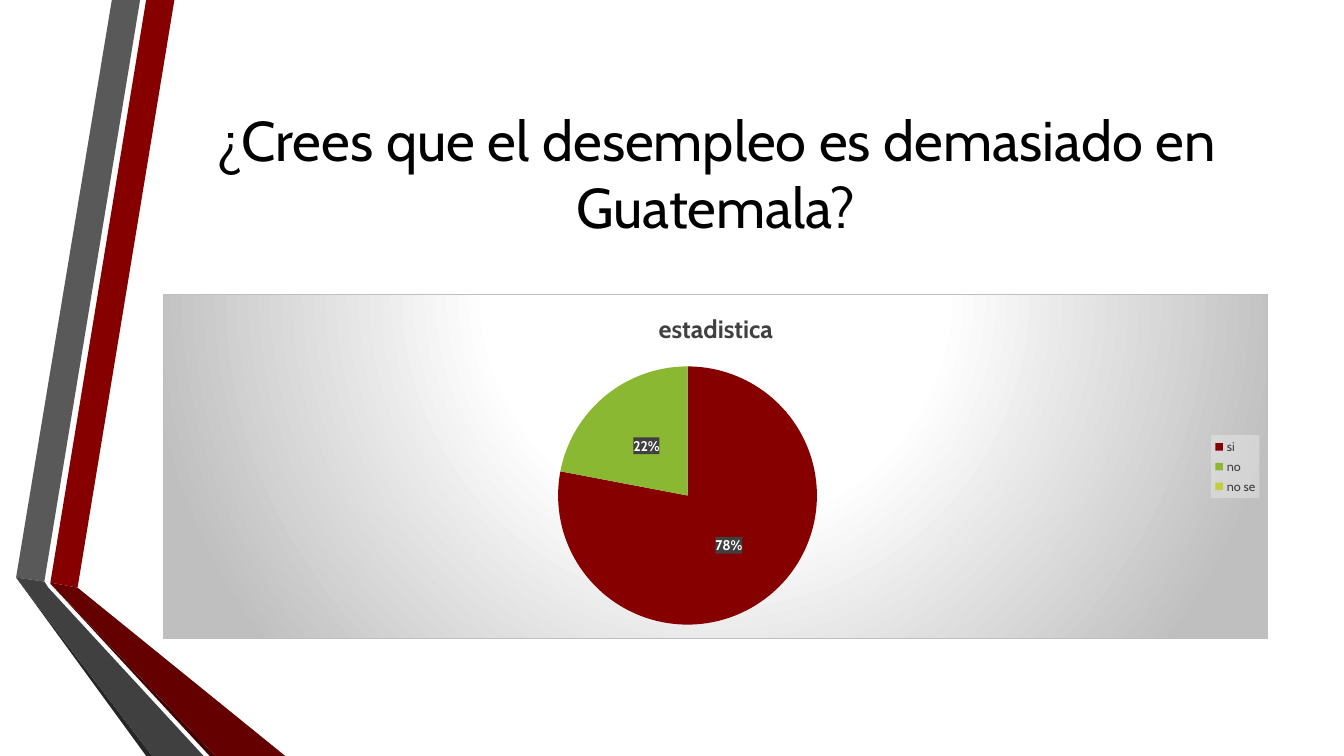
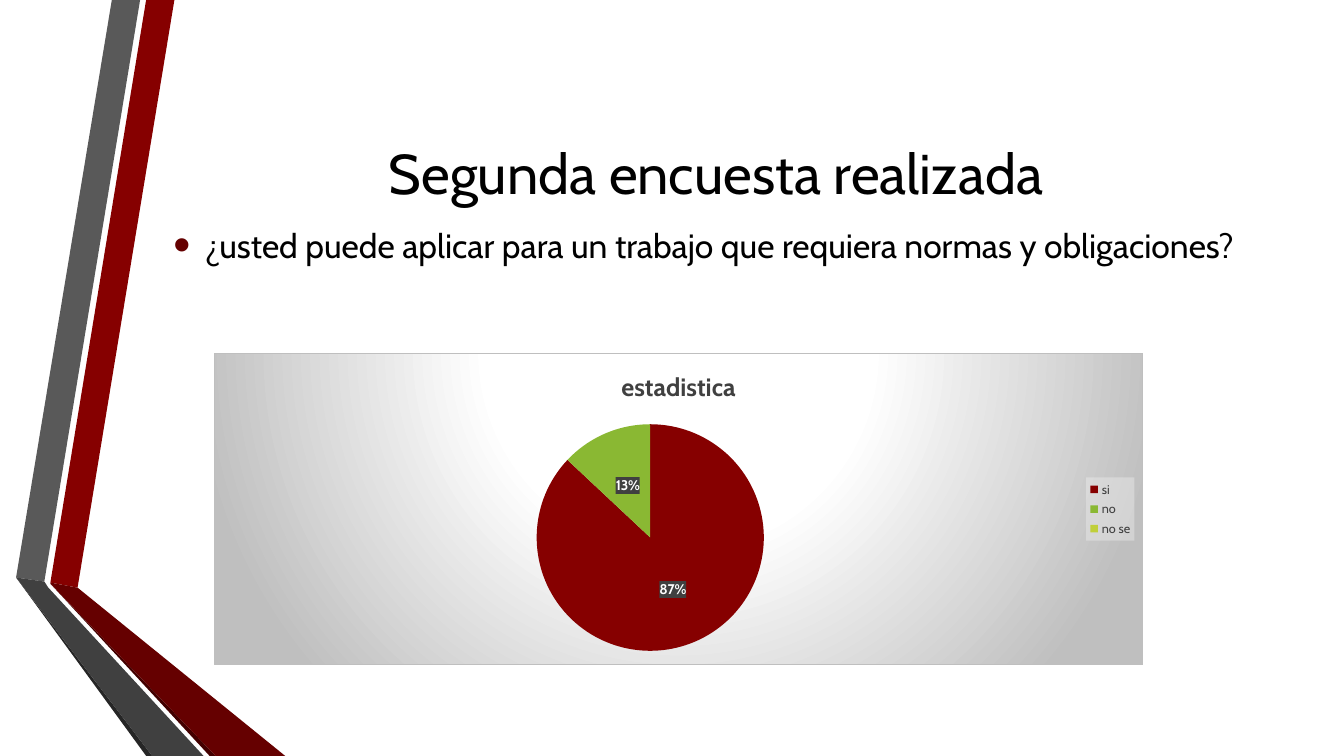
"""Build two survey slides with a pie chart each, over shared folded bands."""
from dataclasses import dataclass

from lxml.etree import SubElement
from pptx import Presentation
from pptx.chart.chart import Chart
from pptx.chart.data import CategoryChartData
from pptx.dml.color import RGBColor
from pptx.enum.chart import XL_CHART_TYPE as ChartType
from pptx.enum.chart import XL_LABEL_POSITION as LabelPos
from pptx.enum.chart import XL_LEGEND_POSITION as LegendPos
from pptx.enum.text import MSO_ANCHOR as Anchor
from pptx.enum.text import MSO_AUTO_SIZE as AutoSize
from pptx.enum.text import PP_ALIGN as Align
from pptx.oxml import parse_xml
from pptx.oxml.ns import nsdecls, qn
from pptx.shapes.base import BaseShape
from pptx.slide import Slide
from pptx.text.text import Font, TextFrame, _Paragraph as Paragraph
from pptx.util import Inches, Pt

FONT = "Cabin"
BLACK = RGBColor(0x00, 0x00, 0x00)
WHITE = RGBColor(0xFF, 0xFF, 0xFF)
RED = RGBColor(0x86, 0x00, 0x00)
DARK_RED = RGBColor(0x65, 0x00, 0x00)
DEEP_RED = RGBColor(0x43, 0x00, 0x00)
GREEN = RGBColor(0x8A, 0xB8, 0x33)
LIME = RGBColor(0xC0, 0xCF, 0x3A)
GRAY = RGBColor(0x59, 0x59, 0x59)
DARK_GRAY = RGBColor(0x40, 0x40, 0x40)
DEEP_GRAY = RGBColor(0x26, 0x26, 0x26)
SILVER = RGBColor(0xBF, 0xBF, 0xBF)
PALE_GRAY = RGBColor(0xF2, 0xF2, 0xF2)


@dataclass(frozen=True)
class Box:
    """Place and size in inches."""

    left: float
    top: float
    width: float
    height: float


@dataclass(frozen=True)
class Band:
    """Filled outline with its corners in inches."""

    color: RGBColor
    corners: tuple[tuple[float, float], ...]


@dataclass(frozen=True)
class Survey:
    """One survey slide."""

    title: str
    values: tuple[int, ...]
    chart_box: Box
    question: str = ""


TITLE_BOX = Box(1.62, 0.75, 10.96, 1.92)
QUESTION_BOX = Box(1.62, 0.96, 10.96, 3.42)
ANSWERS = (("si", RED), ("no", GREEN), ("no se", LIME))
BANDS = (
    Band(RED, ((0.5, 5.78), (0.77, 5.83), (1.73, 0), (1.45, 0))),
    Band(GRAY, ((1.39, 0), (1.11, 0), (0.16, 5.73), (0.44, 5.77))),
    Band(DEEP_GRAY, ((0.16, 5.73), (1.45, 7.5), (1.51, 7.5))),
    Band(DEEP_RED, ((0.5, 5.79), (2.08, 7.5), (2.14, 7.5))),
    Band(DARK_RED, ((0.5, 5.79), (2.14, 7.5), (2.83, 7.5), (0.77, 5.83), (0.5, 5.78))),
    Band(DARK_GRAY, ((2.02, 7.5), (0.48, 5.83), (0.44, 5.77), (0.16, 5.73), (1.51, 7.5))),
)
SURVEYS = (
    Survey("¿Crees que el desempleo es demasiado en Guatemala?", (78, 22, 0),
           Box(1.62, 2.92, 10.96, 3.42)),
    Survey("Segunda encuesta realizada", (87, 13, 0), Box(2.12, 3.5, 9.22, 3.1),
           "¿usted puede aplicar para un trabajo que requiera normas y obligaciones?"),
)


def style(font: Font, *, size: float, color: RGBColor, bold: bool = False) -> None:
    """Set the typeface, size, colour and weight of a font."""
    font.name, font.size, font.bold = FONT, Pt(size), bold
    font.color.rgb = color


def write(tf: TextFrame, text: str, *, size: float, color: RGBColor = BLACK,
          bold: bool = False, align: Align = Align.LEFT) -> Paragraph:
    """Write one formatted paragraph and return it."""
    p = tf.paragraphs[0]
    p.alignment = align
    r = p.add_run()
    r.text = text
    style(r.font, size=size, color=color, bold=bold)
    return p


def place(sp: BaseShape, box: Box) -> TextFrame:
    """Move a placeholder and return its middle-anchored text frame."""
    sp.left, sp.top = Inches(box.left), Inches(box.top)
    sp.width, sp.height = Inches(box.width), Inches(box.height)
    tf = sp.text_frame
    tf.word_wrap, tf.auto_size, tf.vertical_anchor = True, AutoSize.NONE, Anchor.MIDDLE
    return tf


def add_bullet(p: Paragraph) -> None:
    """Give a paragraph a hanging red bullet."""
    pPr = p._p.get_or_add_pPr()
    pPr.set("marL", str(Inches(0.31)))
    pPr.set("indent", str(-Inches(0.31)))
    color = SubElement(pPr, qn("a:buClr"))
    SubElement(color, qn("a:srgbClr"), val=str(DARK_RED))
    SubElement(pPr, qn("a:buSzPct"), val="145000")
    SubElement(pPr, qn("a:buFont"), typeface="Arial")
    SubElement(pPr, qn("a:buChar"), char="•")


def add_bands(s: Slide) -> None:
    """Draw the folded bands and move them to the slide master."""
    tree = s.slide_layout.slide_master.shapes.element
    for i, band in enumerate(BANDS):
        start, *rest = [(Inches(x), Inches(y)) for x, y in band.corners]
        builder = s.shapes.build_freeform(*start)
        builder.add_line_segments(rest)
        sp = builder.convert_to_shape()
        sp.shadow.inherit = False
        sp.fill.solid()
        sp.fill.fore_color.rgb = band.color
        sp.line.fill.background()
        tree.insert(2 + i, sp.element)


def tint(color: RGBColor, percent: int):
    """Return chart shape properties with a partly transparent fill."""
    return parse_xml(
        f'<c:spPr {nsdecls("c", "a")}><a:solidFill><a:srgbClr val="{color}">'
        f'<a:alpha val="{percent * 1000}"/></a:srgbClr></a:solidFill></c:spPr>')


def add_backdrop(chart: Chart) -> None:
    """Give the chart area square corners, a radial gradient and a thin border."""
    stops = "".join(
        f'<a:gs pos="{pos * 1000}"><a:srgbClr val="{color}"/></a:gs>'
        for pos, color in ((0, WHITE), (39, WHITE), (100, SILVER)))
    root = chart._chartSpace.find(qn("c:chart"))
    root.addprevious(parse_xml(f'<c:roundedCorners {nsdecls("c")} val="0"/>'))
    root.addnext(parse_xml(
        f'<c:spPr {nsdecls("c", "a")}><a:gradFill><a:gsLst>{stops}</a:gsLst>'
        '<a:path path="circle"><a:fillToRect l="50000" t="-80000" r="50000" b="180000"/>'
        f'</a:path></a:gradFill><a:ln w="{Pt(0.75)}"><a:solidFill>'
        f'<a:srgbClr val="{SILVER}"/></a:solidFill></a:ln></c:spPr>'))


def add_pie(s: Slide, values: tuple[int, ...], box: Box) -> None:
    """Add the pie chart of the answers."""
    data = CategoryChartData()
    data.categories = [name for name, _ in ANSWERS]
    data.add_series("estadistica", values)
    chart = s.shapes.add_chart(
        ChartType.PIE, Inches(box.left), Inches(box.top),
        Inches(box.width), Inches(box.height), data).chart
    style(chart.font, size=10, color=BLACK)
    add_backdrop(chart)
    chart.has_title = True
    write(chart.chart_title.text_frame, "estadistica", size=18, color=DARK_GRAY,
          bold=True, align=Align.CENTER)

    chart.has_legend = True
    legend = chart.legend
    legend.position, legend.include_in_layout = LegendPos.RIGHT, False
    style(legend.font, size=9, color=DARK_GRAY)
    legend._element.find(qn("c:txPr")).addprevious(tint(PALE_GRAY, 39))

    plot = chart.plots[0]
    plot.vary_by_categories = True
    series = plot.series[0]
    labels = series.data_labels
    labels.show_percentage, labels.show_value = True, False
    labels.number_format, labels.number_format_is_linked = "0%", False
    labels.position = LabelPos.CENTER
    style(labels.font, size=10, color=WHITE, bold=True)
    labels._element.find(qn("c:txPr")).addprevious(tint(DARK_GRAY, 90))
    for i, (_, color) in enumerate(ANSWERS):
        fill = series.points[i].format.fill
        fill.solid()
        fill.fore_color.rgb = color
        if not values[i]:
            labels._element.insert(0, parse_xml(
                f'<c:dLbl {nsdecls("c")}><c:idx val="{i}"/><c:delete val="1"/></c:dLbl>'))


def add_survey(prs: Presentation, survey: Survey) -> Slide:
    """Add one survey slide."""
    s = prs.slides.add_slide(prs.slide_layouts[1 if survey.question else 5])
    write(place(s.shapes.title, TITLE_BOX), survey.title, size=40, align=Align.CENTER)
    if survey.question:
        tf = place(s.placeholders[1], QUESTION_BOX)
        tf.margin_bottom = Inches(0.53)
        p = write(tf, survey.question, size=24)
        p.space_before, p.space_after = Pt(0), Pt(6)
        add_bullet(p)
    add_pie(s, survey.values, survey.chart_box)
    return s


def main() -> None:
    """Build and save the presentation."""
    prs = Presentation()
    prs.slide_width, prs.slide_height = Inches(13.33), Inches(7.5)
    slides = [add_survey(prs, survey) for survey in SURVEYS]
    add_bands(slides[0])
    prs.save("out.pptx")


if __name__ == "__main__":
    main()
